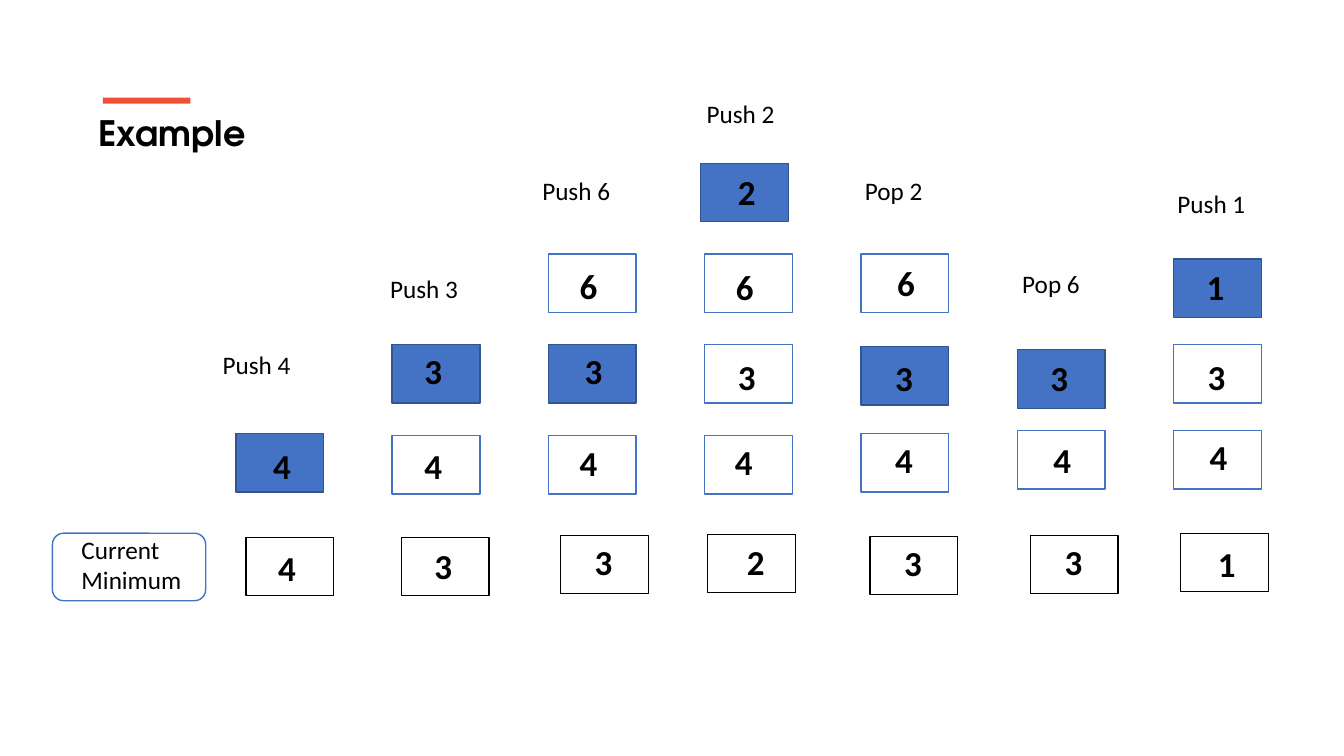
from pptx import Presentation
from pptx.dml.color import RGBColor
from pptx.enum.shapes import MSO_SHAPE as Preset
from pptx.enum.text import MSO_ANCHOR, MSO_AUTO_SIZE as Fit, PP_ALIGN
from pptx.util import Pt

# Content: one step per column. Each stack runs from bottom to top as
# (value, box top, digit left, digit top); the minimum is
# (box left, box top, digit left, digit top).
STEPS = [
    {"label": ("Push 4", 211, 342), "minimum": (244, 533, 266, 537),
     "stack": [(4, 430, 261, 436)]},
    {"label": ("Push 3", 377, 266), "minimum": (398, 533, 421, 535),
     "stack": [(4, 432, 411, 436), (3, 342, 411, 342)]},
    {"label": ("Push 6", 528, 169), "minimum": (556, 531, 580, 531),
     "stack": [(4, 432, 565, 433), (3, 342, 570, 342), (6, 252, 565, 257)]},
    {"label": ("Push 2", 691, 93), "minimum": (702, 530, 731, 531),
     "stack": [(4, 432, 719, 432), (3, 342, 722, 348), (6, 252, 720, 258),
               (2, 162, 722, 164)]},
    {"label": ("Pop 2", 848, 169), "minimum": (863, 532, 887, 532),
     "stack": [(4, 430, 878, 430), (3, 344, 878, 349), (6, 252, 880, 254)]},
    {"label": ("Pop 6", 1004, 261), "minimum": (1022, 531, 1046, 531),
     "stack": [(4, 427, 1035, 430), (3, 347, 1032, 349)]},
    {"label": ("Push 1", 1158, 182), "minimum": (1171, 529, 1198, 533),
     "stack": [(4, 427, 1190, 427), (3, 342, 1188, 348), (1, 257, 1187, 258)]},
]

# Layout in px, 100 to the inch
PX = 9144
FIRST_LEFT, COLUMN_STEP = 234, 155
BOX_SIZE = (87, 58)
DIGIT_SIZE = (33, 52)
LABEL_SIZE = (99, 40)
LEFT_NUDGE = {2: -4}

BLACK = RGBColor(0x00, 0x00, 0x00)
WHITE = RGBColor(0xFF, 0xFF, 0xFF)
BLUE = RGBColor(0x44, 0x72, 0xC4)
DARK_BLUE = RGBColor(0x32, 0x54, 0x91)
ORANGE = RGBColor(0xF0, 0x51, 0x36)

TITLE_FONT = {"name": "TeX Gyre Adventor", "size": Pt(25), "bold": True}
LABEL_FONT = {"name": "Calibri", "size": Pt(18), "bold": False}
DIGIT_FONT = {"name": "Calibri", "size": Pt(25), "bold": True}

deck = Presentation()
deck.slide_width, deck.slide_height = 1333 * PX, 750 * PX
slide = deck.slides.add_slide(deck.slide_layouts[6])


def add_box(left, top, size, fill, line=None, preset=Preset.RECTANGLE):
    box = slide.shapes.add_shape(
        preset, left * PX, top * PX, size[0] * PX, size[1] * PX)
    box.shadow.inherit = False
    box.fill.solid()
    box.fill.fore_color.rgb = fill
    if line is None:
        box.line.fill.background()
    else:
        box.line.color.rgb = line
        box.line.width = Pt(1)


def add_text(text, left, top, size, font, fit=Fit.SHAPE_TO_FIT_TEXT):
    frame = slide.shapes.add_textbox(
        left * PX, top * PX, size[0] * PX, size[1] * PX).text_frame
    frame.word_wrap = True
    frame.auto_size = fit
    frame.vertical_anchor = MSO_ANCHOR.TOP
    paragraph = frame.paragraphs[0]
    paragraph.alignment = PP_ALIGN.LEFT
    run = paragraph.add_run()
    run.text = text
    for name, value in font.items():
        setattr(run.font, name, value)
    run.font.color.rgb = BLACK


# Title with its accent bar
add_box(102, 97, (87, 6), ORANGE)
add_text("Example", 88, 106, (1193, 473), TITLE_FONT, Fit.NONE)

# Heading of the minimum row
add_box(52, 529, (152, 67), WHITE, BLUE, Preset.ROUNDED_RECTANGLE)
add_text("Current Minimum", 71, 525, (127, 71), LABEL_FONT)

# Stacks: the box that holds the smallest value is filled
for column, step in enumerate(STEPS):
    column_left = FIRST_LEFT + column * COLUMN_STEP
    smallest = min(cell[0] for cell in step["stack"])

    for value, top, digit_left, digit_top in step["stack"]:
        fill, line = (BLUE, DARK_BLUE) if value == smallest else (WHITE, BLUE)
        left = column_left + LEFT_NUDGE.get(value, 0)
        add_box(left, top, BOX_SIZE, fill, line)
        add_text(str(value), digit_left, digit_top, DIGIT_SIZE, DIGIT_FONT)

    operation, left, top = step["label"]
    add_text(operation, left, top, LABEL_SIZE, LABEL_FONT)

    left, top, digit_left, digit_top = step["minimum"]
    add_box(left, top, BOX_SIZE, WHITE, BLACK)
    add_text(str(smallest), digit_left, digit_top, DIGIT_SIZE, DIGIT_FONT)

deck.save("out.pptx")
